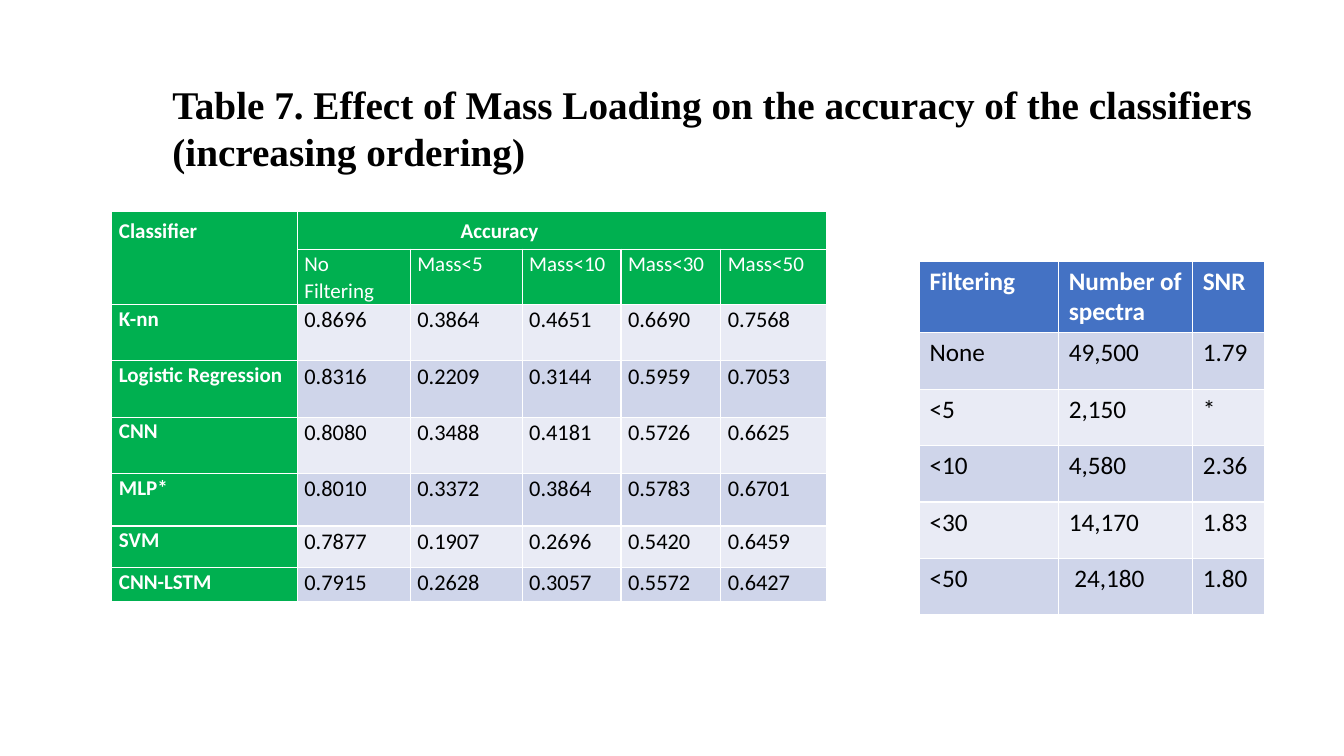
import pptx
import pptx.dml.color
import pptx.enum.text
import pptx.util

Inches = pptx.util.Inches
Pt = pptx.util.Pt
TITLE = "Table 7. Effect of Mass Loading on the accuracy of the classifiers (increasing ordering)"
GREEN, BLUE, LIGHT, DARK = "00B050", "4472C4", "E9EBF5", "CFD5EA"
WHITE, BLACK = "FFFFFF", "000000"


def paint(target, color):
    target.rgb = pptx.dml.color.RGBColor.from_string(color)


def add_grid(page, spot, widths, heights, rows):
    frame = page.shapes.add_table(
        len(rows), len(widths), Inches(spot[0]), Inches(spot[1]),
        Inches(sum(widths)), Inches(sum(heights)))
    grid = frame.table
    for column, width in zip(grid.columns, widths):
        column.width = Inches(width)
    for row, height in zip(grid.rows, heights):
        row.height = Inches(height)
    for row, texts in zip(grid.rows, rows):
        for cell, text in zip(row.cells, texts):
            cell.text = text
    return grid


def style_cell(cell, fill, color, size, bold):
    cell.fill.solid()
    paint(cell.fill.fore_color, fill)
    font = cell.text_frame.paragraphs[0].font
    for name, value in {"name": "Calibri", "size": Pt(size), "bold": bold}.items():
        setattr(font, name, value)
    paint(font.color, color)


deck = pptx.Presentation()
deck.slide_width = Inches(13.33)
deck.slide_height = Inches(7.5)
page = deck.slides.add_slide(deck.slide_layouts[5])

title = page.shapes.title
title_box = {"left": 1.61, "top": 0.75, "width": 11.03, "height": 1.04}
for name, value in title_box.items():
    setattr(title, name, Inches(value))
title_format = {
    "text": TITLE,
    "word_wrap": True,
    "auto_size": pptx.enum.text.MSO_AUTO_SIZE.NONE,
    "vertical_anchor": pptx.enum.text.MSO_ANCHOR.TOP,
}
for name, value in title_format.items():
    setattr(title.text_frame, name, value)
para = title.text_frame.paragraphs[0]
para.alignment = pptx.enum.text.PP_ALIGN.LEFT
for name, value in {"name": "Times New Roman", "size": Pt(28), "bold": True}.items():
    setattr(para.font, name, value)
paint(para.font.color, BLACK)

accuracy_rows = [
    ["Classifier", "Accuracy", "", "", "", ""],
    ["", "No Filtering", "Mass<5", "Mass<10", "Mass<30", "Mass<50"],
    ["K-nn", "0.8696", "0.3864", "0.4651", "0.6690", "0.7568"],
    ["Logistic Regression", "0.8316", "0.2209", "0.3144", "0.5959", "0.7053"],
    ["CNN", "0.8080", "0.3488", "0.4181", "0.5726", "0.6625"],
    ["MLP*", "0.8010", "0.3372", "0.3864", "0.5783", "0.6701"],
    ["SVM", "0.7877", "0.1907", "0.2696", "0.5420", "0.6459"],
    ["CNN-LSTM", "0.7915", "0.2628", "0.3057", "0.5572", "0.6427"],
]
accuracy = add_grid(
    page, (1.11, 2.1), [1.84, 1.12, 1.11, 0.98, 0.99, 1.05],
    [0.35, 0.52, 0.56, 0.56, 0.56, 0.52, 0.41, 0.34], accuracy_rows)
for r, row in enumerate(accuracy.rows):
    for c, cell in enumerate(row.cells):
        if r < 2 or c == 0:
            style_cell(cell, GREEN, WHITE, 15, r != 1)
        else:
            style_cell(cell, DARK if r % 2 else LIGHT, BLACK, 16, False)
        edge = Inches(0 if r else 0.05)
        margins = {"margin_left": Inches(0.07), "margin_right": Inches(0.07),
                   "margin_top": edge, "margin_bottom": edge}
        for name, value in margins.items():
            setattr(cell, name, value)
        para = cell.text_frame.paragraphs[0]
        para.alignment = pptx.enum.text.PP_ALIGN.JUSTIFY
        para.line_spacing = 1.07
accuracy.cell(0, 0).merge(accuracy.cell(1, 0))
accuracy.cell(0, 1).merge(accuracy.cell(0, 5))
accuracy_para = accuracy.cell(0, 1).text_frame.paragraphs[0]
accuracy_para._p.get_or_add_pPr().set("marL", str(Inches(1.55)))

spectra_rows = [
    ["Filtering", "Number of spectra", "SNR"],
    ["None", "49,500", "1.79"],
    ["<5", "2,150", "*"],
    ["<10", "4,580", "2.36"],
    ["<30", "14,170", "1.83"],
    ["<50", " 24,180", "1.80"],
]
spectra = add_grid(
    page, (9.12, 2.59), [1.38, 1.33, 0.71], [0.7] + [0.56] * 5, spectra_rows)
for r, row in enumerate(spectra.rows):
    for cell in row.cells:
        if r == 0:
            style_cell(cell, BLUE, WHITE, 18, True)
        else:
            style_cell(cell, DARK if r % 2 else LIGHT, BLACK, 18, False)

deck.save("out.pptx")
